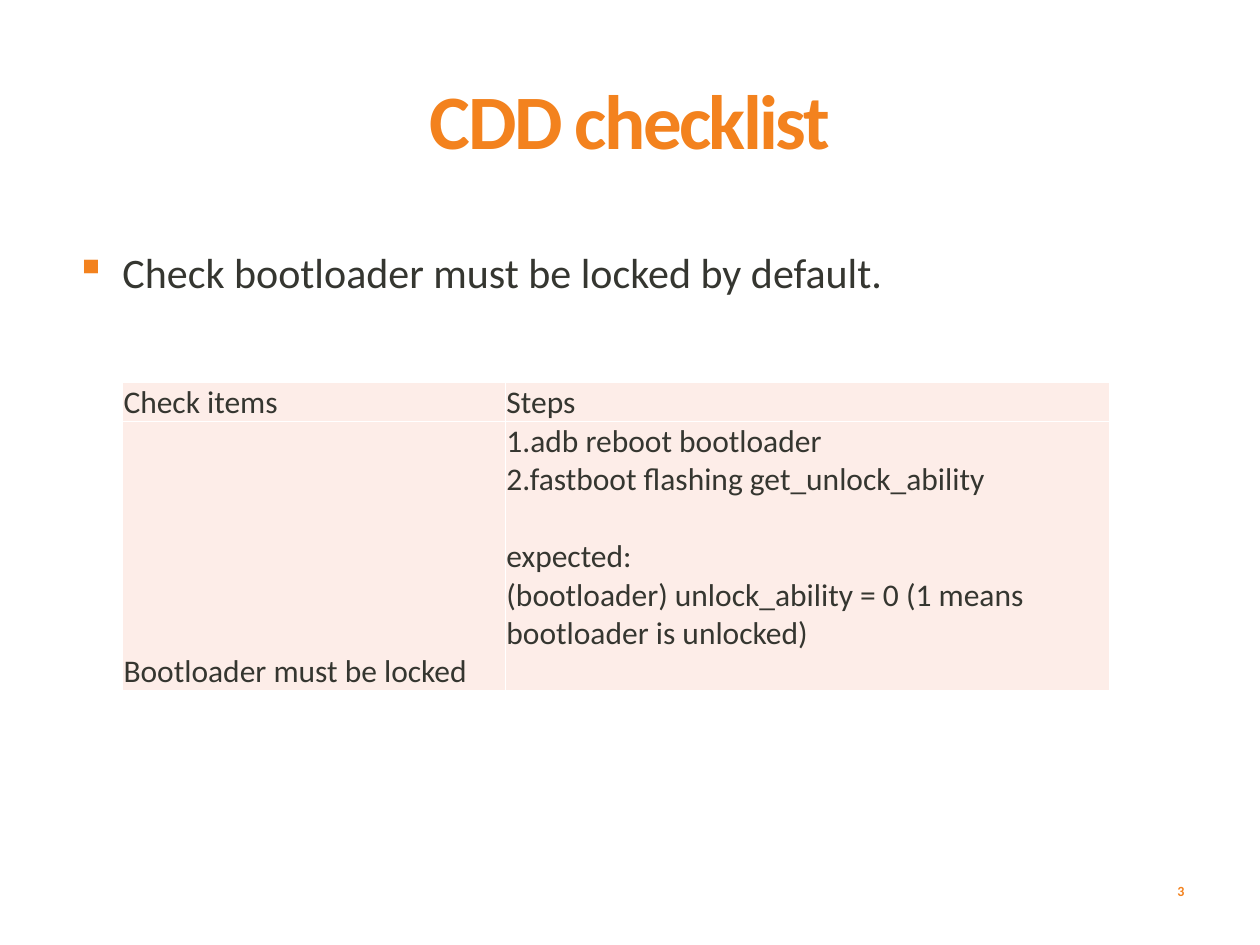
from lxml import etree
from pptx import Presentation, util as u
from pptx.dml.color import RGBColor
from pptx.enum import text
from pptx.oxml.ns import qn

ORANGE, INK, BLUSH, WHITE = "F3821E", "353630", "FDEDE8", "FFFFFF"
LINE = u.Pt(22)
STEPS = [
    "1.adb reboot bootloader",
    "2.fastboot flashing get_unlock_ability",
    "expected:",
    "(bootloader) unlock_ability = 0 (1 means bootloader is unlocked)",
]


def colour(value):
    return RGBColor.from_string(value)


def style(para, size, value, bold=False):
    para.font.name = "Calibri"
    para.font.size = u.Pt(size)
    para.font.bold = bold
    para.font.color.rgb = colour(value)


def add_text(page, words, place, size, value, bold=False,
             align=text.PP_ALIGN.LEFT, anchor=text.MSO_ANCHOR.TOP):
    box = page.shapes.add_textbox(*map(u.Cm, place))
    frame = box.text_frame
    frame.word_wrap = True
    frame.vertical_anchor = anchor
    para = frame.paragraphs[0]
    para.text = words
    para.alignment = align
    style(para, size, value, bold)
    return para


def add_title(page, words):
    para = add_text(page, words, (1.27, 1.7, 22.86, 3.15), 44, ORANGE, True,
                    text.PP_ALIGN.CENTER)
    para.line_spacing = 0.8
    para.runs[0].font._element.set("spc", "-150")


def add_bullet(page, words):
    para = add_text(page, words, (1.27, 4.85, 22.86, 11.91), 24, INK)
    properties = para._p.get_or_add_pPr()
    indent = u.Cm(0.95)
    properties.set("marL", str(indent))
    properties.set("indent", str(-indent))
    marker = etree.Element(qn("a:buClr"))
    etree.SubElement(marker, qn("a:srgbClr"), val=ORANGE)
    symbol = etree.Element(qn("a:buChar"), char="▪")
    properties.insert(0, marker)
    properties.insert(1, symbol)


def add_borders(cell):
    properties = cell._tc.get_or_add_tcPr()
    for side in ("lnL", "lnR", "lnT", "lnB"):
        line = etree.SubElement(properties, qn(f"a:{side}"), w=str(u.Pt(1)))
        fill = etree.SubElement(line, qn("a:solidFill"))
        etree.SubElement(fill, qn("a:srgbClr"), val=WHITE)


def fill_cell(cell, lines):
    add_borders(cell)
    cell.fill.solid()
    cell.fill.fore_color.rgb = colour(BLUSH)
    cell.vertical_anchor = text.MSO_ANCHOR.BOTTOM
    cell.margin_left = cell.margin_right = cell.margin_top = u.Cm(0.02)
    cell.margin_bottom = 0
    cell.text = "\n".join(lines)
    for para in cell.text_frame.paragraphs:
        style(para, 18, INK)


def add_checklist(page):
    rows = [
        [["Check items"], ["Steps"]],
        [["Bootloader must be locked"], STEPS],
    ]
    frame = page.shapes.add_table(
        2, 2, u.Cm(2.47), u.Cm(7.71), u.Cm(19.91), u.Cm(6.21))
    table = frame.table
    for column, width in zip(table.columns, (7.72, 12.19)):
        column.width = u.Cm(width)
    for row, height in zip(table.rows, (0.78, 5.43)):
        row.height = u.Cm(height)
    for row, contents in zip(table.rows, rows):
        for cell, lines in zip(row.cells, contents):
            fill_cell(cell, lines)
    steps = table.cell(1, 1)
    steps.margin_bottom = LINE
    steps.text_frame.paragraphs[2].space_before = LINE


def main():
    deck = Presentation()
    deck.slide_width, deck.slide_height = u.Cm(25.4), u.Cm(19.05)
    page = deck.slides.add_slide(deck.slide_layouts[6])
    add_title(page, "CDD checklist")
    add_bullet(page, "Check bootloader must be locked by default.")
    add_text(page, "3", (21.18, 17.45, 2.95, 1.02), 8, ORANGE, True,
             text.PP_ALIGN.RIGHT, text.MSO_ANCHOR.MIDDLE)
    add_checklist(page)
    deck.save("out.pptx")


if __name__ == "__main__":
    main()
